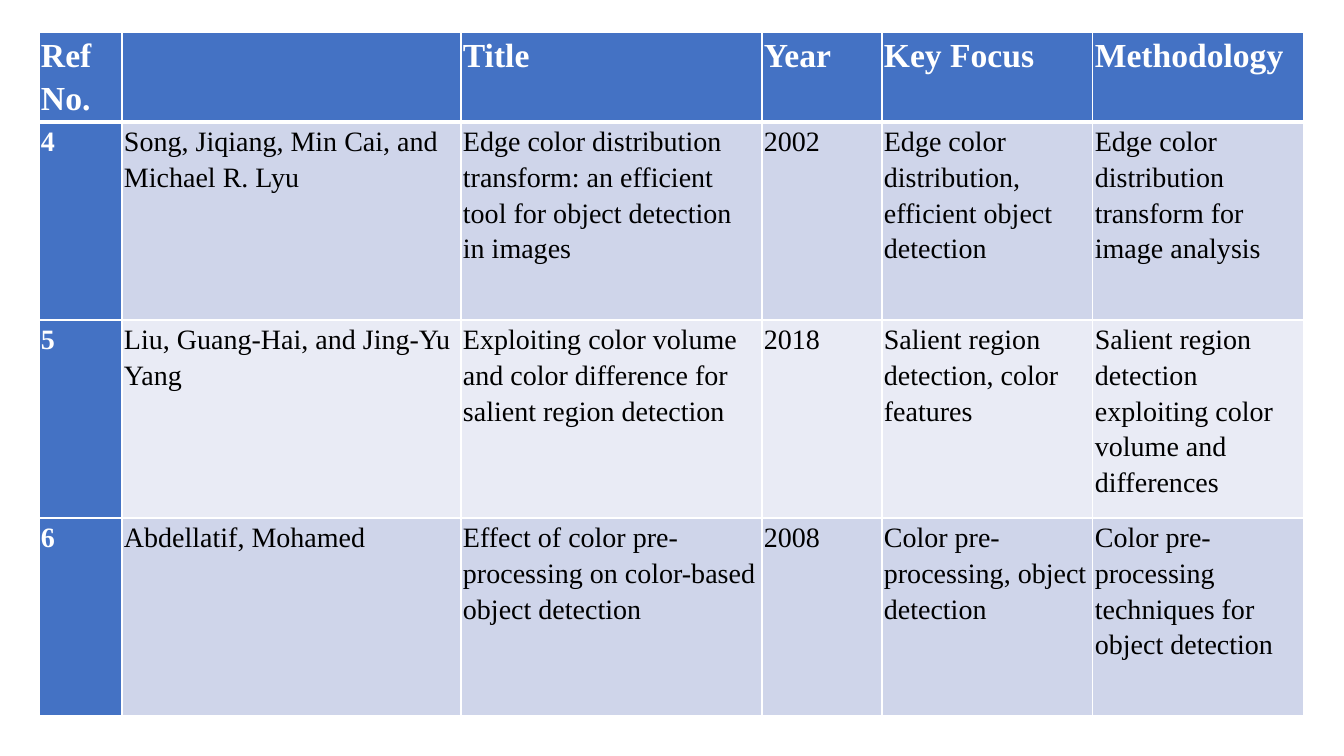
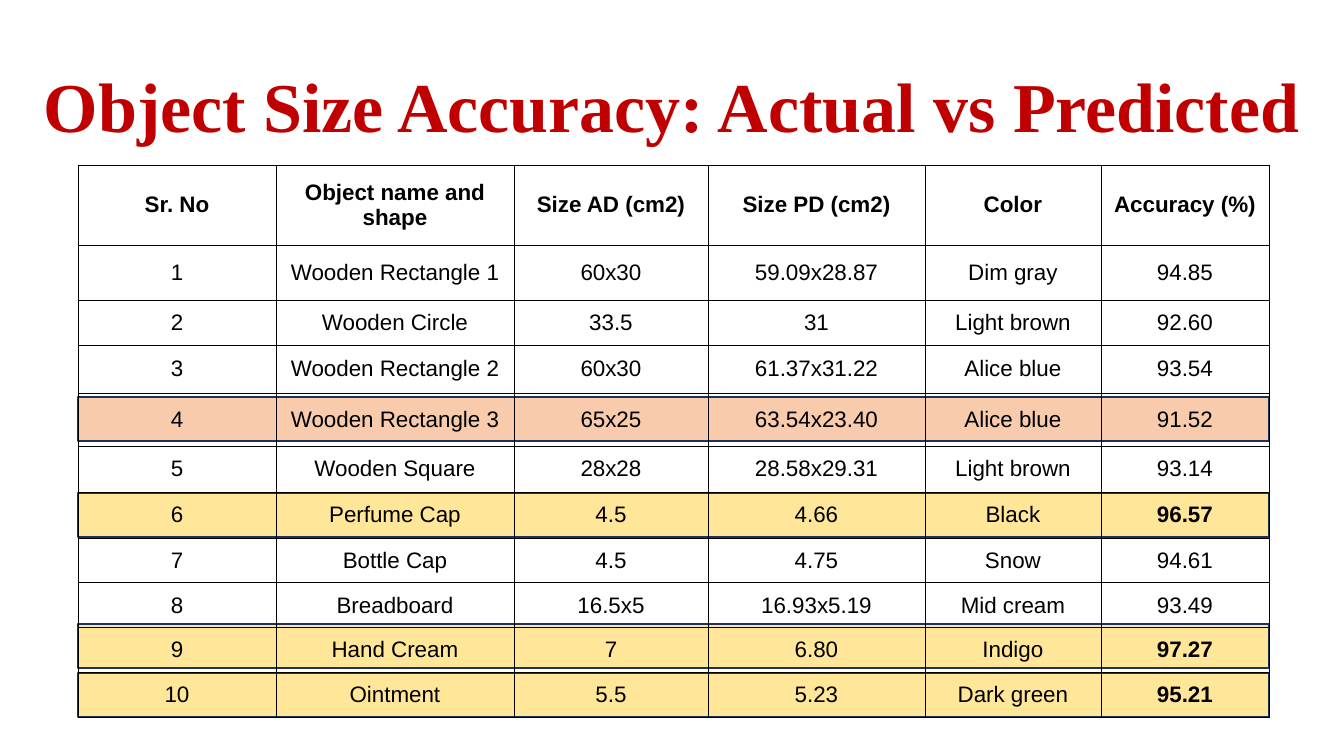
from lxml import etree
from pptx import Presentation
from pptx.dml.color import RGBColor
from pptx.enum.shapes import MSO_SHAPE
from pptx.enum.text import MSO_ANCHOR, MSO_AUTO_SIZE, PP_ALIGN
from pptx.oxml.ns import qn
from pptx.util import Emu, Pt

RECTANGLE = MSO_SHAPE.RECTANGLE
CENTER, LEFT = PP_ALIGN.CENTER, PP_ALIGN.LEFT
MIDDLE, TOP = MSO_ANCHOR.MIDDLE, MSO_ANCHOR.TOP
NO_AUTOFIT = MSO_AUTO_SIZE.NONE

EMU_PER_PX = 914400 / 100.8
SLIDE_SIZE = (1344, 756)
TITLE_ONLY, BLANK = 5, 6
SERIF, SANS = "Times New Roman", "Arial"

COLORS = {
    "white": "FFFFFF",
    "black": "000000",
    "title": "C00000",
    "header": "4472C4",
    "odd_row": "CFD5EA",
    "even_row": "E9EBF5",
    "lowest": "F8CBAD",
    "highest": "FFE699",
    "highlight_line": "1E3256",
}

LITERATURE = [
    ("Ref No.", "", "Title", "Year", "Key Focus", "Methodology"),
    ("4", "Song, Jiqiang, Min Cai, and Michael R. Lyu",
     "Edge color distribution transform: an efficient tool for object detection in images",
     "2002", "Edge color distribution, efficient object detection",
     "Edge color distribution transform for image analysis"),
    ("5", "Liu, Guang-Hai, and Jing-Yu Yang",
     "Exploiting color volume and color difference for salient region detection",
     "2018", "Salient region detection, color features",
     "Salient region detection exploiting color volume and differences"),
    ("6", "Abdellatif, Mohamed",
     "Effect of color pre-processing on color-based object detection",
     "2008", "Color pre-processing, object detection",
     "Color pre-processing techniques for object detection"),
]
LITERATURE_ORIGIN = (39, 32)
LITERATURE_COLUMNS = [83, 339, 301, 120, 211, 211]
LITERATURE_ROWS = [90, 198, 198, 198]

ACCURACY_TITLE = "Object Size Accuracy: Actual vs Predicted"
ACCURACY = [
    ("Sr. No", "Object name and shape", "Size AD (cm2)", "Size PD (cm2)", "Color", "Accuracy (%)"),
    ("1", "Wooden Rectangle 1", "60x30", "59.09x28.87", "Dim gray", "94.85"),
    ("2", "Wooden Circle", "33.5", "31", "Light brown", "92.60"),
    ("3", "Wooden Rectangle 2", "60x30", "61.37x31.22", "Alice blue", "93.54"),
    ("4", "Wooden Rectangle 3", "65x25", "63.54x23.40", "Alice blue", "91.52"),
    ("5", "Wooden Square", "28x28", "28.58x29.31", "Light brown", "93.14"),
    ("6", "Perfume Cap", "4.5", "4.66", "Black", "96.57"),
    ("7", "Bottle Cap", "4.5", "4.75", "Snow", "94.61"),
    ("8", "Breadboard", "16.5x5", "16.93x5.19", "Mid cream", "93.49"),
    ("9", "Hand Cream", "7", "6.80", "Indigo", "97.27"),
    ("10", "Ointment", "5.5", "5.23", "Dark green", "95.21"),
]
ACCURACY_ORIGIN = (78, 165)
ACCURACY_COLUMNS = [198, 238, 194, 217, 176, 168]
ACCURACY_ROWS = [80, 55, 45, 48, 53, 46, 46, 45, 45, 45, 45]
HIGHLIGHT_HEIGHT = 44
HIGHLIGHTS = [(397, "lowest"), (493, "highest"), (624, "highest"), (673, "highest")]
BEST_ROWS = {6, 9, 10}


def px(length):
    return Emu(round(length * EMU_PER_PX))


def rgb(name):
    return RGBColor.from_string(COLORS[name])


def style_paragraph(paragraph, font, size, color, bold, align, spacing):
    paragraph.alignment = align
    paragraph.line_spacing = spacing
    paragraph.font.name = font
    paragraph.font.size = Pt(size)
    paragraph.font.bold = bold
    paragraph.font.color.rgb = rgb(color)


def set_borders(cell, color, widths):
    """Draw the cell edges; widths maps L, R, T and B to points."""
    properties = cell._tc.get_or_add_tcPr()
    for side, width in widths.items():
        line = etree.SubElement(properties, qn(f"a:ln{side}"), w=str(Pt(width)))
        fill = etree.SubElement(line, qn("a:solidFill"))
        etree.SubElement(fill, qn("a:srgbClr"), val=COLORS[color])


def add_grid(slide, origin, columns, rows, content, insets, anchor, style_cell):
    """Add a plain table and pass each filled-in cell to style_cell."""
    frame = slide.shapes.add_table(
        len(rows), len(columns), *map(px, (*origin, sum(columns), sum(rows))))
    table = frame.table
    table.first_row = table.horz_banding = False
    for column, width in zip(table.columns, columns):
        column.width = px(width)
    for row, height in zip(table.rows, rows):
        row.height = px(height)
    side, edge = map(px, insets)
    for row_index, texts in enumerate(content):
        for column_index, text in enumerate(texts):
            cell = table.cell(row_index, column_index)
            cell.text = text
            cell.margin_left = cell.margin_right = side
            cell.margin_top = cell.margin_bottom = edge
            cell.vertical_anchor = anchor
            style_cell(cell, row_index, column_index)


def style_literature_cell(cell, row, column):
    heading = row == 0 or column == 0
    set_borders(cell, "white", {"L": 1, "R": 1, "T": 3 if row == 1 else 1,
                                "B": 3 if row == 0 else 1})
    cell.fill.solid()
    band = "odd_row" if row % 2 else "even_row"
    cell.fill.fore_color.rgb = rgb("header" if heading else band)
    style_paragraph(cell.text_frame.paragraphs[0], SERIF, 20 if row else 24,
                    "white" if heading else "black", heading, LEFT, 1.15)


def style_accuracy_cell(cell, row, column):
    set_borders(cell, "black", dict.fromkeys("LRTB", 0.6))
    cell.fill.background()
    last_column = len(ACCURACY_COLUMNS) - 1
    bold = row == 0 or (row in BEST_ROWS and column == last_column)
    style_paragraph(cell.text_frame.paragraphs[0], SANS, 16, "black", bold, CENTER, 1.0)


def add_literature_slide(presentation):
    slide = presentation.slides.add_slide(presentation.slide_layouts[BLANK])
    add_grid(slide, LITERATURE_ORIGIN, LITERATURE_COLUMNS, LITERATURE_ROWS,
             LITERATURE, (2, 0), TOP, style_literature_cell)


def add_accuracy_slide(presentation):
    slide = presentation.slides.add_slide(presentation.slide_layouts[TITLE_ONLY])
    title = slide.shapes.title
    title.left, title.top, title.width, title.height = map(px, (-26, 37, 1397, 146))
    title.text = ACCURACY_TITLE
    title.text_frame.auto_size = NO_AUTOFIT
    title.text_frame.vertical_anchor = MIDDLE
    style_paragraph(title.text_frame.paragraphs[0], SERIF, 50, "title", True, CENTER, 0.9)

    for top, color in HIGHLIGHTS:
        highlight = slide.shapes.add_shape(RECTANGLE, *map(
            px, (ACCURACY_ORIGIN[0], top, sum(ACCURACY_COLUMNS), HIGHLIGHT_HEIGHT)))
        highlight.shadow.inherit = False
        highlight.fill.solid()
        highlight.fill.fore_color.rgb = rgb(color)
        highlight.line.color.rgb = rgb("highlight_line")
        highlight.line.width = Pt(1)

    add_grid(slide, ACCURACY_ORIGIN, ACCURACY_COLUMNS, ACCURACY_ROWS,
             ACCURACY, (8, 4), MIDDLE, style_accuracy_cell)


def main():
    presentation = Presentation()
    presentation.slide_width, presentation.slide_height = map(px, SLIDE_SIZE)
    add_literature_slide(presentation)
    add_accuracy_slide(presentation)
    presentation.save("out.pptx")


if __name__ == "__main__":
    main()
